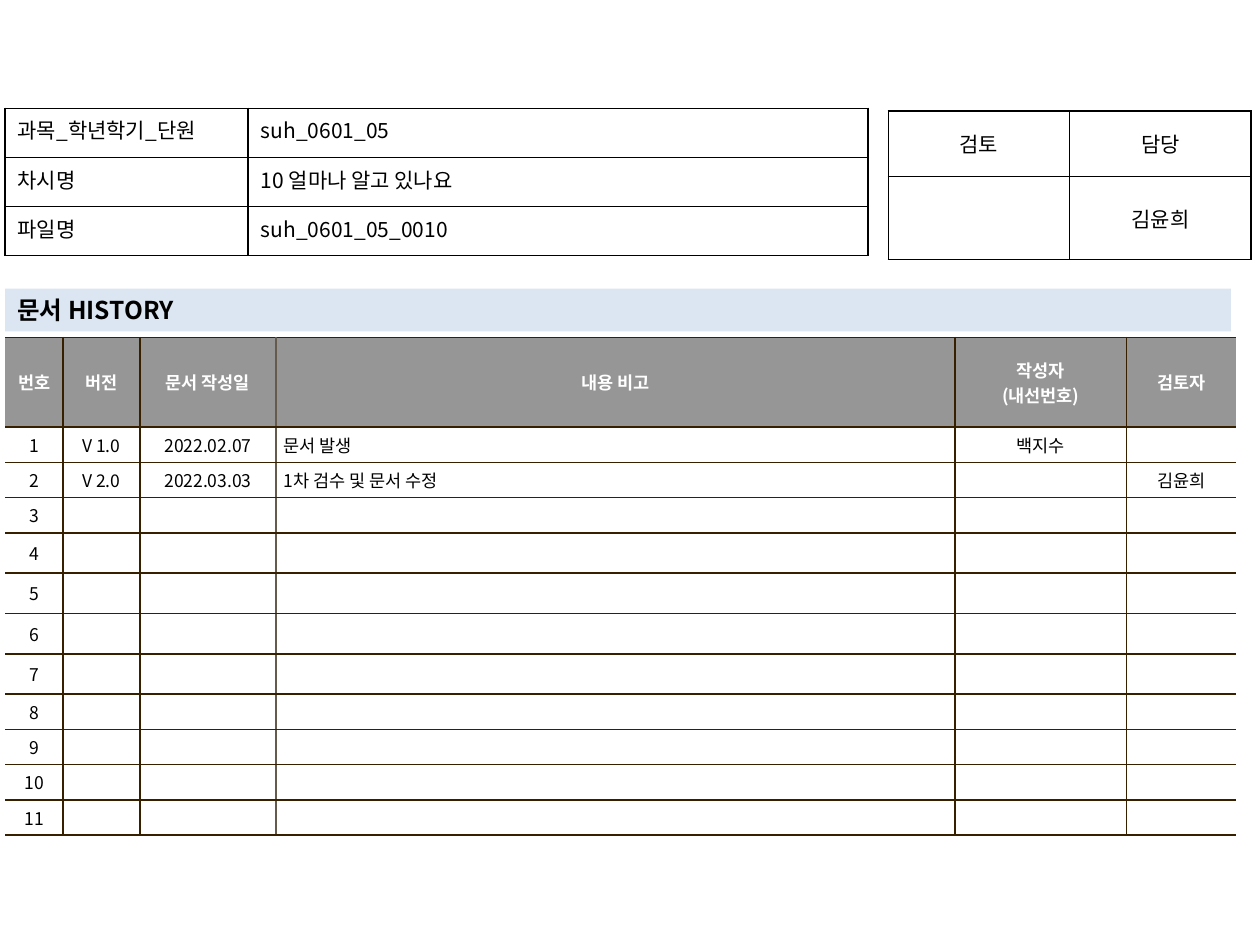
from lxml import etree
from pptx import Presentation
from pptx.dml.color import RGBColor
from pptx.enum.shapes import MSO_SHAPE
from pptx.enum.text import MSO_ANCHOR, PP_ALIGN
from pptx.oxml.ns import qn
from pptx.util import Inches, Pt

FONT = "Noto Sans CJK KR"
LEFT, CENTER, JUSTIFY = PP_ALIGN.LEFT, PP_ALIGN.CENTER, PP_ALIGN.JUSTIFY
TOP, MIDDLE = MSO_ANCHOR.TOP, MSO_ANCHOR.MIDDLE
RECTANGLE = MSO_SHAPE.RECTANGLE
NO_STYLE = "{2D5ABB26-0587-4C30-8999-92F81FD0307C}"
BLACK, WHITE, GRAY, PALE_BLUE = "000000", "FFFFFF", "969696", "DCE6F2"
BROWN, TAUPE = "362000", "645B4C"


def write(frame, text, align, size, color=BLACK, bold=False):
    """Fill a text frame, one paragraph a line; an empty one only gets its size."""
    frame.text = text
    for paragraph in frame.paragraphs:
        paragraph.alignment = align
        if not text:
            end = etree.SubElement(paragraph._p, qn("a:endParaRPr"))
            end.set("sz", str(size * 100))
        for run in paragraph.runs:
            for key, value in {"name": FONT, "size": Pt(size), "bold": bold}.items():
                setattr(run.font, key, value)
            run.font.color.rgb = RGBColor.from_string(color)
            etree.SubElement(run._r.get_or_add_rPr(), qn("a:ea")).set("typeface", FONT)


def draw_table(left, top, widths, heights, rows, format_cell):
    """format_cell(row, column) gives text format, anchor, margins, fill and border colours."""
    frame = slide.shapes.add_table(
        len(heights), len(widths), Inches(left), Inches(top),
        Inches(sum(widths)), Inches(sum(heights)))
    table = frame.table
    table.first_row = table.horz_banding = False
    table._tbl.tblPr.find(qn("a:tableStyleId")).text = NO_STYLE
    for column, width in zip(table.columns, widths):
        column.width = Inches(width)
    for row, height in zip(table.rows, heights):
        row.height = Inches(height)
    for r, texts in enumerate(rows):
        for c, text in enumerate(texts):
            cell = table.cell(r, c)
            look = format_cell(r, c)
            write(cell.text_frame, text, **look["text"])
            cell.vertical_anchor = look["anchor"]
            side, end = look["margins"]
            for edge, margin in {"left": side, "right": side, "top": end, "bottom": end}.items():
                setattr(cell, f"margin_{edge}", Inches(margin))
            if look["fill"]:
                cell.fill.solid()
                cell.fill.fore_color.rgb = RGBColor.from_string(look["fill"])
            else:
                cell.fill.background()
            properties = cell._tc.get_or_add_tcPr()
            for position, (edge, color) in enumerate(zip("LRTB", look["borders"])):
                line = etree.Element(qn(f"a:ln{edge}"), w=str(Pt(1)))
                if color:
                    solid = etree.SubElement(line, qn("a:solidFill"))
                    etree.SubElement(solid, qn("a:srgbClr")).set("val", color)
                else:
                    etree.SubElement(line, qn("a:noFill"))
                properties.insert(position, line)
    return table


prs = Presentation()
prs.slide_width, prs.slide_height = Inches(10), Inches(7.5)
slide = prs.slides.add_slide(prs.slide_layouts[6])

# Document history
history_rows = [
    ["번호", "버전", "문서 작성일", "내용 비고", "작성자\n(내선번호)", "검토자"],
    ["1", "V 1.0", "2022.02.07", "문서 발생", "백지수", ""],
    ["2", "V 2.0", "2022.03.03", "1차 검수 및 문서 수정", "", "김윤희"],
] + [[str(number)] + [""] * 5 for number in range(3, 12)]
NOTE_COLUMN = 3
# Vertical rules from the left edge to the right edge; the outer sides stay open
history_rules = [None, BROWN, BROWN, TAUPE, BROWN, BROWN, None]


def history_format(r, c):
    header = r == 0
    return {
        "text": {"align": LEFT if c == NOTE_COLUMN and not header else CENTER,
                 "size": 10, "color": WHITE if header else BLACK, "bold": header},
        "anchor": MIDDLE, "margins": (0.06, 0.04), "fill": GRAY if header else WHITE,
        "borders": (history_rules[c], history_rules[c + 1], BROWN, BROWN),
    }


history = draw_table(0.04, 2.68, [0.46, 0.61, 1.08, 5.39, 1.36, 0.87],
                     [0.71] + [0.28] * 3 + [0.32] * 4 + [0.28] * 4,
                     history_rows, history_format)
for r in (1, 2):
    note = history.cell(r, NOTE_COLUMN).text_frame.paragraphs[0]._p.get_or_add_pPr()
    note.set("marL", str(Inches(0.19)))
    note.set("indent", str(Inches(-0.19)))

# Approval box
draw_table(7.05, 0.88, [1.44] * 2, [0.52, 0.66], [["검토", "담당"], ["", "김윤희"]],
           lambda r, c: {"text": {"align": CENTER, "size": 12}, "anchor": MIDDLE,
                         "margins": (0.1, 0.05), "fill": None, "borders": [BLACK] * 4})

# History heading
heading = slide.shapes.add_shape(RECTANGLE, Inches(0.04), Inches(2.29), Inches(9.73), Inches(0.34))
heading.shadow.inherit = False
heading.fill.solid()
heading.fill.fore_color.rgb = RGBColor.from_string(PALE_BLUE)
heading.line.fill.background()
heading.text_frame.word_wrap = True
heading.text_frame.vertical_anchor = MIDDLE
write(heading.text_frame, "문서 HISTORY", LEFT, 14, bold=True)

# Lesson details
lesson_rows = [
    ["과목_학년학기_단원", "suh_0601_05"],
    ["차시명", "10 얼마나 알고 있나요"],
    ["파일명", "suh_0601_05_0010"],
]
draw_table(0.04, 0.86, [1.93, 4.92], [0.39] * 3, lesson_rows,
           lambda r, c: {"text": {"align": LEFT if c else JUSTIFY, "size": 12}, "anchor": TOP,
                         "margins": (0.1, 0.05), "fill": None, "borders": [BLACK] * 4})

prs.save("out.pptx")
